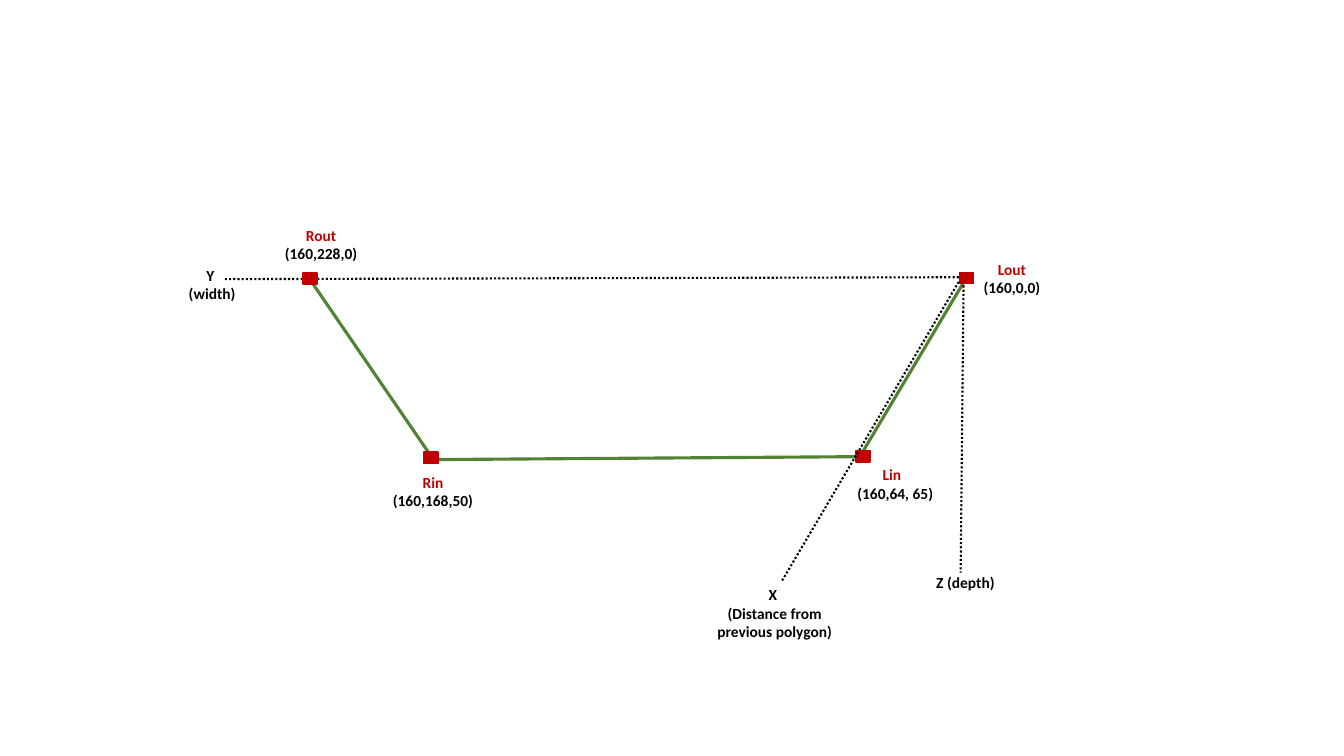
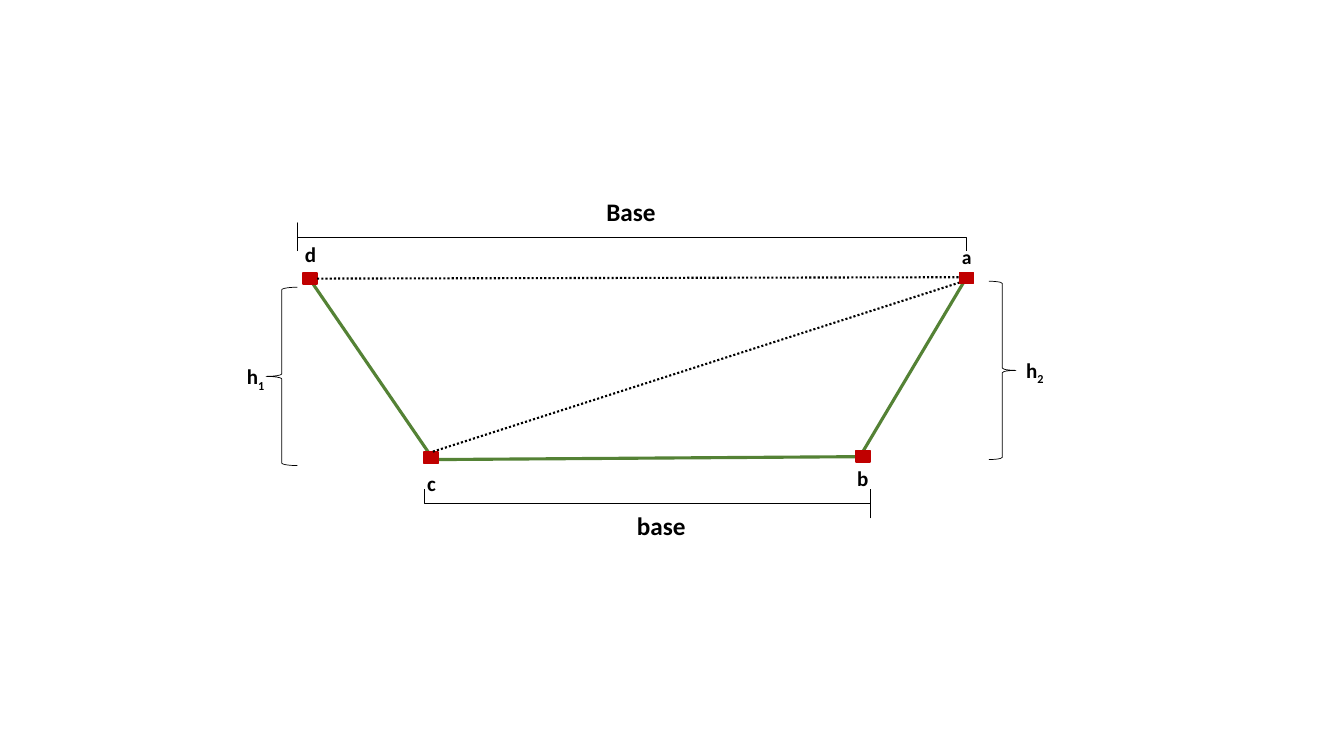
"""Builds two slides on a channel cross-section: its coordinates and its dimensions."""
from lxml import etree
from pptx import Presentation
from pptx import util as u
from pptx.dml.color import RGBColor
from pptx.enum import dml, shapes, text
from pptx.oxml import ns

FONT = "Calibri"
COLORS = {"ink": "000000", "bank": "548235", "corner": "C00000"}
CORNER_SIZE = (10, 8)
CORNERS = {"Rin": (303, 323), "Lout": (685.5, 194.5), "Lin": (611.5, 322), "Rout": (216.5, 195)}
BANKS = [((309.6, 328.3), (614.2, 326.2)), ((614.2, 326.2), (690.5, 198)),
         ((309.6, 328.3), (220.3, 198))]
LOUT_AXIS = (690.5, 198)
LOUT_BASE = (688.3, 200.9)
Y_AXIS = ((160.6, 199.4), LOUT_AXIS)
Z_AXIS = (LOUT_BASE, (686.2, 409))
X_AXIS = ((558.7, 414.7), (685.5, 200.2))

AXIS_LABELS = [
    ((502.6, 414.7, 101.5, 47.5), ["X ", "(Distance from previous polygon)"], "center"),
    ((661.7, 406.1, 88.6, 20.9), ["Z (depth)"], "left"),
    ((122.4, 186.5, 58.3, 33.8), ["Y ", "(width)"], "center"),
]
CORNER_LABELS = [
    ((694.1, 182.2, 57.6, 33.8), [[("Lout ", "corner"), ("(160,0,0)", "ink")]]),
    ((601.9, 329, 72.7, 33.8), [[("Lin ", "corner")], [(" (160,64, 65)", "ink")]]),
    ((193, 157.7, 72.7, 33.8), [[("Rout ", "corner"), ("(160,228,0)", "ink")]]),
    ((272.2, 334.1, 74.2, 33.8), [[("Rin ", "corner"), ("(160,168,50)", "ink")]]),
]
DIMENSION_LABELS = [
    ((661.7, 171.4, 57.6, 24.5), "a", 14),
    ((595.4, 329, 41.8, 25.2), "b", 15),
    ((287.3, 332.6, 41.8, 25.2), "c", 15),
    ((200.9, 169.2, 41.8, 25.2), "d", 15),
    ((360, 360.7, 224.6, 28.8), "base", 18),
    ((338.4, 136.8, 224.6, 28.8), "Base", 18),
]
HEIGHT_LABELS = [((169.2, 256.3, 33.8, 25.2), "1"), ((725.8, 252, 33.8, 25.2), "2")]
BRACES = [
    ("RIGHT_BRACE", (706.3, 200.9, 19.4, 127.4), 0, None),
    ("LEFT_BRACE", (190.1, 205.2, 22.3, 127.4), 0, None),
    ("LEFT_BRACE", (452.2, 200.2, 20.2, 319), 270, (0.083, 1)),
    ("LEFT_BRACE", (441.4, -69.8, 20.2, 478.1), 90, (0, 1)),
]


def points(values):
    return [u.Pt(value) for value in values]


def rgb(name):
    return RGBColor.from_string(COLORS[name])


def add_line(slide, start, end, color, width, dotted=False):
    line = slide.shapes.add_connector(shapes.MSO_CONNECTOR.STRAIGHT, *points((*start, *end)))
    line.line.color.rgb = rgb(color)
    line.line.width = u.Pt(width)
    if dotted:
        line.line.dash_style = dml.MSO_LINE.ROUND_DOT
    etree.SubElement(line._element.spPr, ns.qn("a:effectLst"))
    return line


def add_dotted(slide, start, end):
    return add_line(slide, start, end, "ink", 1.5, dotted=True)


def add_banks(slide):
    for start, end in BANKS:
        add_line(slide, start, end, "bank", 2.25)


def add_corner(slide, name):
    corner = slide.shapes.add_shape(shapes.MSO_SHAPE.RECTANGLE,
                                    *points(CORNERS[name] + CORNER_SIZE))
    corner.shadow.inherit = False
    corner.fill.solid()
    corner.fill.fore_color.rgb = corner.line.color.rgb = rgb("corner")
    corner.line.width = u.Pt(1)
    return corner


def add_label(slide, box, lines, size, align="center"):
    """Each line is a list of (text, colour) runs."""
    label = slide.shapes.add_textbox(*points(box))
    frame = label.text_frame
    frame.word_wrap = True
    frame.auto_size = text.MSO_AUTO_SIZE.SHAPE_TO_FIT_TEXT
    for index, pieces in enumerate(lines):
        paragraph = frame.add_paragraph() if index else frame.paragraphs[0]
        paragraph.alignment = text.PP_ALIGN[align.upper()]
        for words, color in pieces:
            run = paragraph.add_run()
            run.text = words
            run.font.name, run.font.size, run.font.bold = FONT, u.Pt(size), True
            run.font.color.rgb = rgb(color)
    return label


def add_brace(slide, kind, box, rotation, bend):
    brace = slide.shapes.add_shape(shapes.MSO_SHAPE[kind], *points(box))
    brace.shadow.inherit = False
    brace.fill.background()
    brace.line.color.rgb = rgb("ink")
    brace.line.width = u.Pt(0.5)
    brace.rotation = rotation
    for index, value in enumerate(bend or ()):
        brace.adjustments[index] = value


def build_coordinates(slide):
    add_banks(slide)
    add_corner(slide, "Rin")
    add_dotted(slide, *Z_AXIS)
    add_dotted(slide, *Y_AXIS)
    add_corner(slide, "Lout")
    add_corner(slide, "Lin")
    add_dotted(slide, *X_AXIS)
    add_corner(slide, "Rout")
    for box, lines, align in AXIS_LABELS:
        add_label(slide, box, [[(words, "ink")] for words in lines], 11, align)
    for box, lines in CORNER_LABELS:
        add_label(slide, box, lines, 11)


def build_dimensions(slide):
    add_banks(slide)
    rin = add_corner(slide, "Rin")
    rout = add_corner(slide, "Rout")
    diagonal = add_dotted(slide, LOUT_BASE, CORNERS["Rin"])
    diagonal.end_connect(rin, 0)
    surface = add_dotted(slide, CORNERS["Rout"], LOUT_AXIS)
    surface.begin_connect(rout, 3)
    add_corner(slide, "Lout")
    add_corner(slide, "Lin")
    for brace in BRACES:
        add_brace(slide, *brace)
    for box, words, size in DIMENSION_LABELS:
        add_label(slide, box, [[(words, "ink")]], size)
    for box, number in HEIGHT_LABELS:
        height = add_label(slide, box, [[("h", "ink"), (number, "ink")]], 15, "left")
        subscript = height.text_frame.paragraphs[0].runs[1]
        subscript.font._element.set("baseline", "-25000")


def main():
    deck = Presentation()
    deck.slide_width, deck.slide_height = points((960, 540))
    for build in (build_coordinates, build_dimensions):
        build(deck.slides.add_slide(deck.slide_layouts[6]))
    deck.save("out.pptx")


if __name__ == "__main__":
    main()
